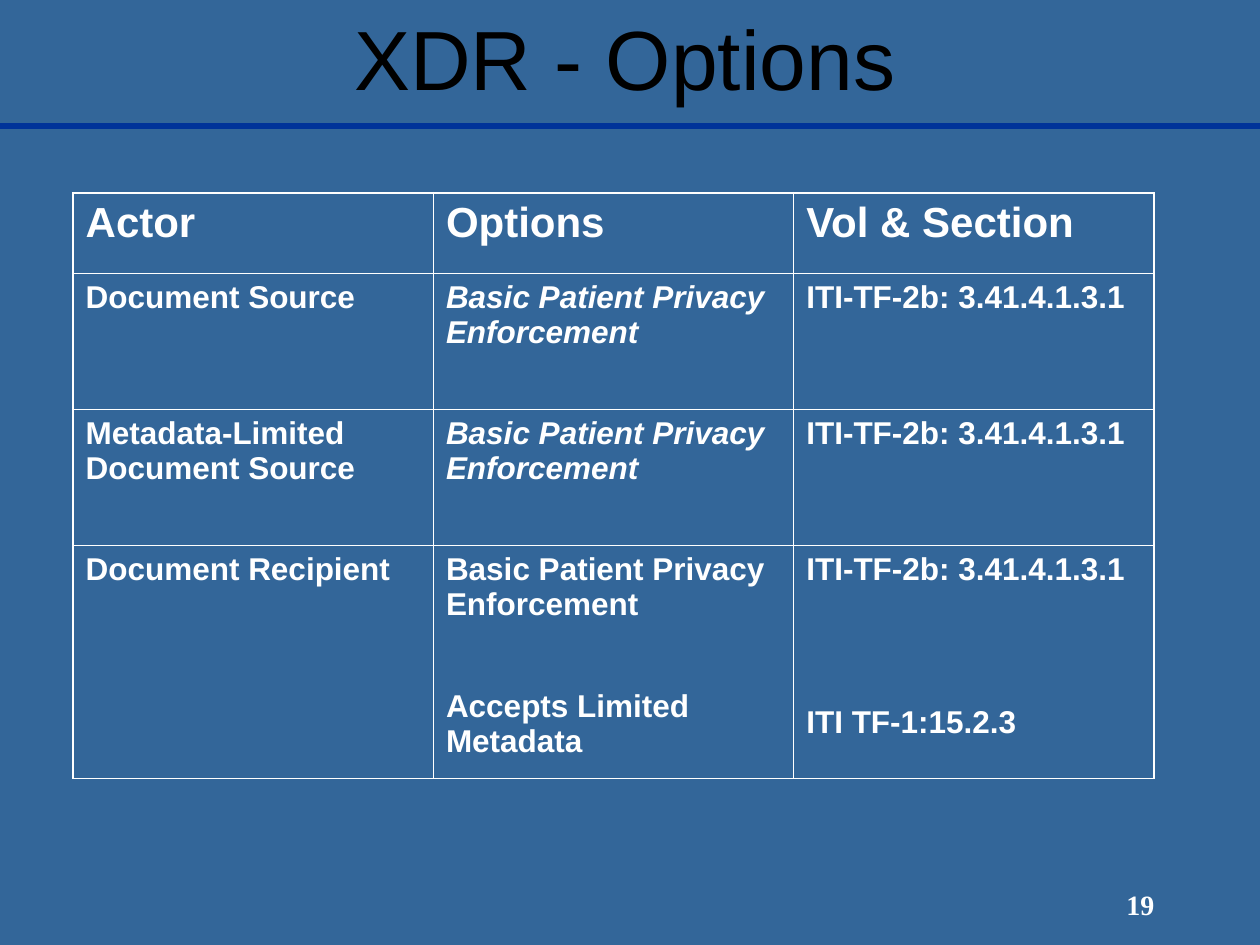
from dataclasses import dataclass

from lxml.etree import SubElement
from pptx import Presentation
from pptx.dml.color import RGBColor
from pptx.enum.shapes import MSO_CONNECTOR
from pptx.enum.text import MSO_ANCHOR, PP_ALIGN
from pptx.oxml import parse_xml
from pptx.oxml.ns import nsdecls, qn
from pptx.util import Inches, Pt


@dataclass(frozen=True)
class Theme:
    background: str = "336699"
    rule: str = "003399"
    title: str = "000000"
    text: str = "FFFFFF"
    sans: str = "Arial"
    serif: str = "Times New Roman"
    title_size: float = 48
    header_size: float = 24
    body_size: float = 18
    number_size: float = 16
    outer_border: float = 1.08
    inner_border: float = 0.45


THEME = Theme()

HEADERS = ["Actor", "Options", "Vol & Section"]
PRIVACY = "Basic Patient Privacy Enforcement"
SECTION = "ITI-TF-2b: 3.41.4.1.3.1"
# Each cell is a list of paragraphs
ROWS = [
    [["Document Source"], [PRIVACY], [SECTION]],
    [["Metadata-Limited Document Source"], [PRIVACY], [SECTION]],
    [["Document Recipient"], [PRIVACY, "Accepts Limited Metadata"],
     [SECTION, "ITI TF-1:15.2.3"]],
]
ITALIC_CELLS = {(1, 1), (2, 1)}
# Wider space above the second paragraph, by column, lines up the last row
SECOND_GAPS = {1: 33.65, 2: 62.8}
COLUMN_WIDTH = 2.86
ROW_HEIGHTS = [0.64, 1.08, 1.08, 1.85]


def write_text(paragraph, text, size, color=THEME.text, font=THEME.sans, bold=False,
               italic=False, align=None, before=0, after=0):
    paragraph.alignment = align
    paragraph.space_before = Pt(before)
    paragraph.space_after = Pt(after)
    run = paragraph.add_run()
    run.text = text
    run.font.name = font
    run.font.size = Pt(size)
    run.font.bold = bold
    run.font.italic = italic
    run.font.color.rgb = RGBColor.from_string(color)


def add_text_box(slide, left, top, width, height, text, **text_format):
    box = slide.shapes.add_textbox(Inches(left), Inches(top), Inches(width), Inches(height))
    frame = box.text_frame
    frame.word_wrap = True
    frame.vertical_anchor = MSO_ANCHOR.MIDDLE
    write_text(frame.paragraphs[0], text, align=PP_ALIGN.CENTER, **text_format)


def add_rule(slide, top):
    line = slide.shapes.add_connector(MSO_CONNECTOR.STRAIGHT, Inches(0), Inches(top),
                                      Inches(10), Inches(top))
    line.line.color.rgb = RGBColor.from_string(THEME.rule)
    line.line.width = Pt(3)
    SubElement(line._element.spPr, qn("a:effectLst"))


def set_borders(cell, outer_sides):
    properties = cell._tc.get_or_add_tcPr()
    for position, side in enumerate("LRTB"):
        width = THEME.outer_border if side in outer_sides else THEME.inner_border
        properties.insert(position, parse_xml(
            f'<a:ln{side} {nsdecls("a")} w="{int(Pt(width))}"><a:solidFill>'
            f'<a:srgbClr val="{THEME.text}"/></a:solidFill></a:ln{side}>'))


def fill_cell(cell, row, column, texts):
    cell.fill.background()
    size, space = (THEME.header_size, 6) if row == 0 else (THEME.body_size, 4.5)
    frame = cell.text_frame
    for index, text in enumerate(texts):
        paragraph = frame.add_paragraph() if index else frame.paragraphs[0]
        write_text(paragraph, text, size=size, bold=True,
                   italic=(row, column) in ITALIC_CELLS,
                   before=SECOND_GAPS[column] if index else 0, after=space)


def add_options_table(slide, left, top):
    contents = [[[header] for header in HEADERS]] + ROWS
    last_row, last_column = len(contents) - 1, len(HEADERS) - 1
    table = slide.shapes.add_table(
        len(contents), len(HEADERS), Inches(left), Inches(top),
        Inches(COLUMN_WIDTH * len(HEADERS)), Inches(sum(ROW_HEIGHTS))).table
    table.first_row = False
    table.horz_banding = False
    for column in table.columns:
        column.width = Inches(COLUMN_WIDTH)
    for r, (height, cells) in enumerate(zip(ROW_HEIGHTS, contents)):
        table.rows[r].height = Inches(height)
        for c, texts in enumerate(cells):
            cell = table.cell(r, c)
            fill_cell(cell, r, c, texts)
            edges = {"L": c == 0, "R": c == last_column, "T": r == 0, "B": r == last_row}
            set_borders(cell, [side for side, outer in edges.items() if outer])


def main():
    presentation = Presentation()
    presentation.slide_width = Inches(10)
    presentation.slide_height = Inches(7.5)
    slide = presentation.slides.add_slide(presentation.slide_layouts[6])
    slide.background.fill.solid()
    slide.background.fill.fore_color.rgb = RGBColor.from_string(THEME.background)

    # Heading rule, page number and title
    add_rule(slide, 1)
    add_text_box(slide, 8.34, 6.93, 1.42, 0.5, "19", size=THEME.number_size,
                 font=THEME.serif, bold=True)
    add_text_box(slide, 1.42, -0.17, 7.08, 1.25, "XDR - Options",
                 size=THEME.title_size, color=THEME.title)

    # Options by actor
    add_options_table(slide, 0.58, 1.53)
    presentation.save("out.pptx")


if __name__ == "__main__":
    main()
